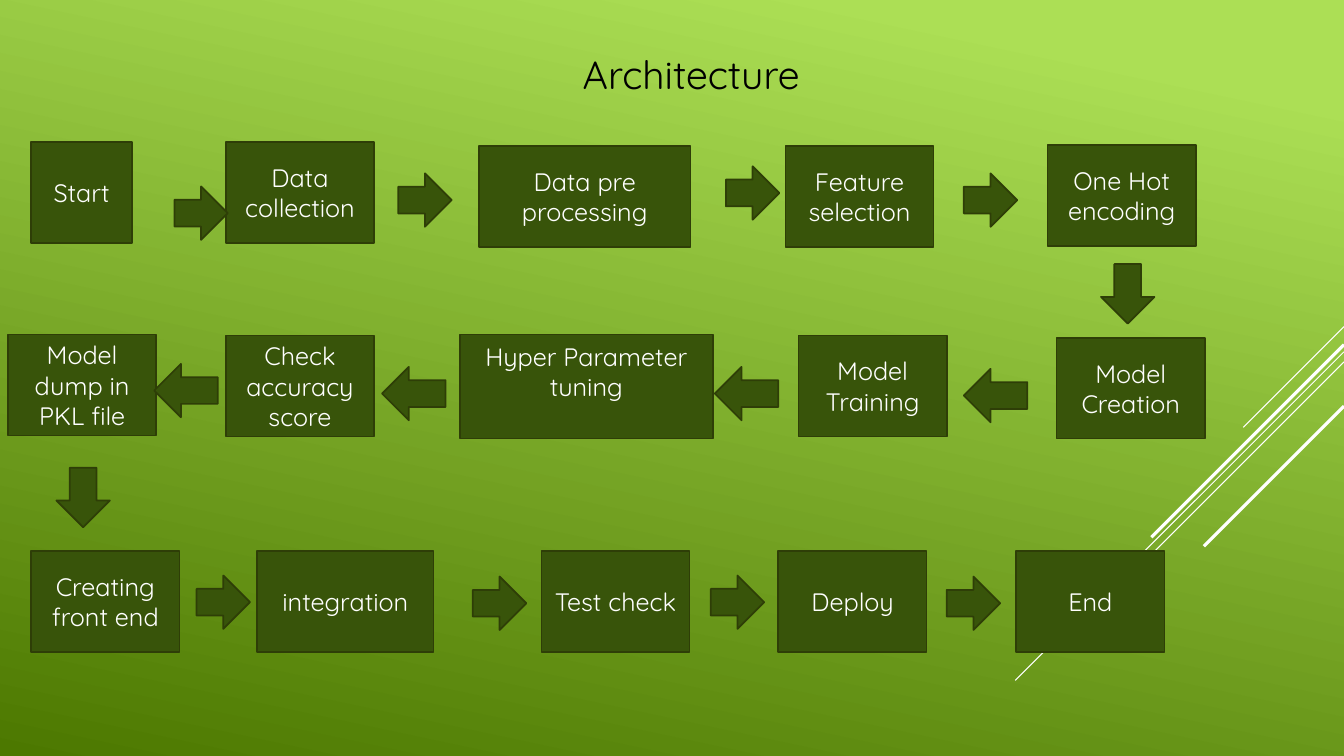
"""Build the Architecture slide: a three-row machine learning workflow."""
import pptx
import pptx.dml.color
import pptx.enum.shapes
import pptx.enum.text
import pptx.oxml.ns
import pptx.util
from lxml import etree

Inches, Pt = pptx.util.Inches, pptx.util.Pt
RGBColor = pptx.dml.color.RGBColor
SHAPE = pptx.enum.shapes.MSO_SHAPE
CENTER = pptx.enum.text.PP_ALIGN.CENTER
ANCHOR = pptx.enum.text.MSO_ANCHOR

FONT = "Quicksand"
LIME = RGBColor(0xAC, 0xDF, 0x55)
DEEP_GREEN = RGBColor(0x4C, 0x78, 0x00)
BOX_GREEN = RGBColor(0x38, 0x54, 0x0A)
EDGE_GREEN = RGBColor(0x2E, 0x3E, 0x07)
WHITE = RGBColor(0xFF, 0xFF, 0xFF)
BLACK = RGBColor(0x00, 0x00, 0x00)

deck = pptx.Presentation()
deck.slide_width, deck.slide_height = Inches(13.33), Inches(7.5)
slide = deck.slides.add_slide(deck.slide_layouts[5])


def add_green_shape(kind, left, top, width, height):
    shape = slide.shapes.add_shape(
        kind, Inches(left), Inches(top), Inches(width), Inches(height))
    shape.shadow.inherit = False
    shape.fill.solid()
    shape.fill.fore_color.rgb = BOX_GREEN
    shape.line.color.rgb = EDGE_GREEN
    shape.line.width = Pt(1.25)
    return shape


def write_text(frame, text, size, color):
    frame.text = text
    frame.word_wrap = True
    paragraph = frame.paragraphs[0]
    paragraph.alignment = CENTER
    paragraph.font.name = FONT
    paragraph.font.size = Pt(size)
    paragraph.font.color.rgb = color


backdrop = slide.background.fill
backdrop.gradient()
backdrop.gradient_angle = 258
for stop, position, color in zip(backdrop.gradient_stops, (0.1, 1), (LIME, DEEP_GREEN)):
    stop.position = position
    stop.color.rgb = color

title = slide.shapes.title
title.left, title.top = Inches(1.01), Inches(0.45)
title.width, title.height = Inches(11.69), Inches(1.99)
title.text_frame.vertical_anchor = ANCHOR.TOP
write_text(title.text_frame, "Architecture", 28, BLACK)

RIGHT_EDGE = 13.33
for start_y, run, weight in [
    (3.24, 1, 0.75),
    (3.49, 3.26, 0.75),
    (3.59, 2.07, 0.75),
    (3.42, 1.91, 2.25),
    (4.03, 1.39, 2.25),
]:
    streak = slide.shapes.add_connector(
        pptx.enum.shapes.MSO_CONNECTOR.STRAIGHT,
        Inches(RIGHT_EDGE), Inches(start_y),
        Inches(RIGHT_EDGE - run), Inches(start_y + run))
    streak.line.color.rgb = WHITE
    streak.line.width = Pt(weight)
    etree.SubElement(streak._element.spPr, pptx.oxml.ns.qn("a:effectLst"))

STEP_WIDTH, STEP_HEIGHT = 1.47, 1
steps = [
    ("Start", 0.31, 1.41, 1, STEP_HEIGHT),
    ("Data collection", 2.24, 1.41, STEP_WIDTH, STEP_HEIGHT),
    ("Data pre processing", 4.75, 1.45, 2.1, STEP_HEIGHT),
    ("Feature selection", 7.79, 1.45, STEP_WIDTH, STEP_HEIGHT),
    ("One Hot encoding", 10.39, 1.44, STEP_WIDTH, STEP_HEIGHT),
    ("Model Creation", 10.48, 3.35, STEP_WIDTH, STEP_HEIGHT),
    ("Model Training", 7.92, 3.33, STEP_WIDTH, STEP_HEIGHT),
    ("Hyper Parameter tuning", 4.56, 3.32, 2.51, 1.03),
    ("Check accuracy score", 2.24, 3.33, STEP_WIDTH, STEP_HEIGHT),
    ("Model dump in PKL file", 0.08, 3.32, STEP_WIDTH, STEP_HEIGHT),
    ("Creating front end", 0.31, 5.47, STEP_WIDTH, STEP_HEIGHT),
    ("integration", 2.55, 5.47, 1.75, STEP_HEIGHT),
    ("Test check", 5.37, 5.47, STEP_WIDTH, STEP_HEIGHT),
    ("Deploy", 7.72, 5.47, STEP_WIDTH, STEP_HEIGHT),
    ("End", 10.08, 5.47, STEP_WIDTH, STEP_HEIGHT),
]
for label, left, top, width, height in steps:
    step = add_green_shape(SHAPE.RECTANGLE, left, top, width, height)
    step.text_frame.vertical_anchor = ANCHOR.MIDDLE
    write_text(step.text_frame, label, 18, WHITE)
    if label == "Hyper Parameter tuning":
        step.text_frame.margin_bottom = Inches(0.35)

arrows = [
    (SHAPE.RIGHT_ARROW, 0.53, 0.53, [
        (1.73, 1.85), (3.95, 1.72), (7.2, 1.65), (9.56, 1.72),
        (1.95, 5.71), (4.69, 5.72), (7.05, 5.71), (9.39, 5.72)]),
    (SHAPE.LEFT_ARROW, 0.63, 0.53, [
        (9.56, 3.66), (7.09, 3.64), (3.79, 3.64), (1.53, 3.61)]),
    (SHAPE.DOWN_ARROW, 0.53, 0.59, [(10.92, 2.62), (0.56, 4.64)]),
]
for direction, width, height, corners in arrows:
    for left, top in corners:
        add_green_shape(direction, left, top, width, height)

deck.save("out.pptx")
